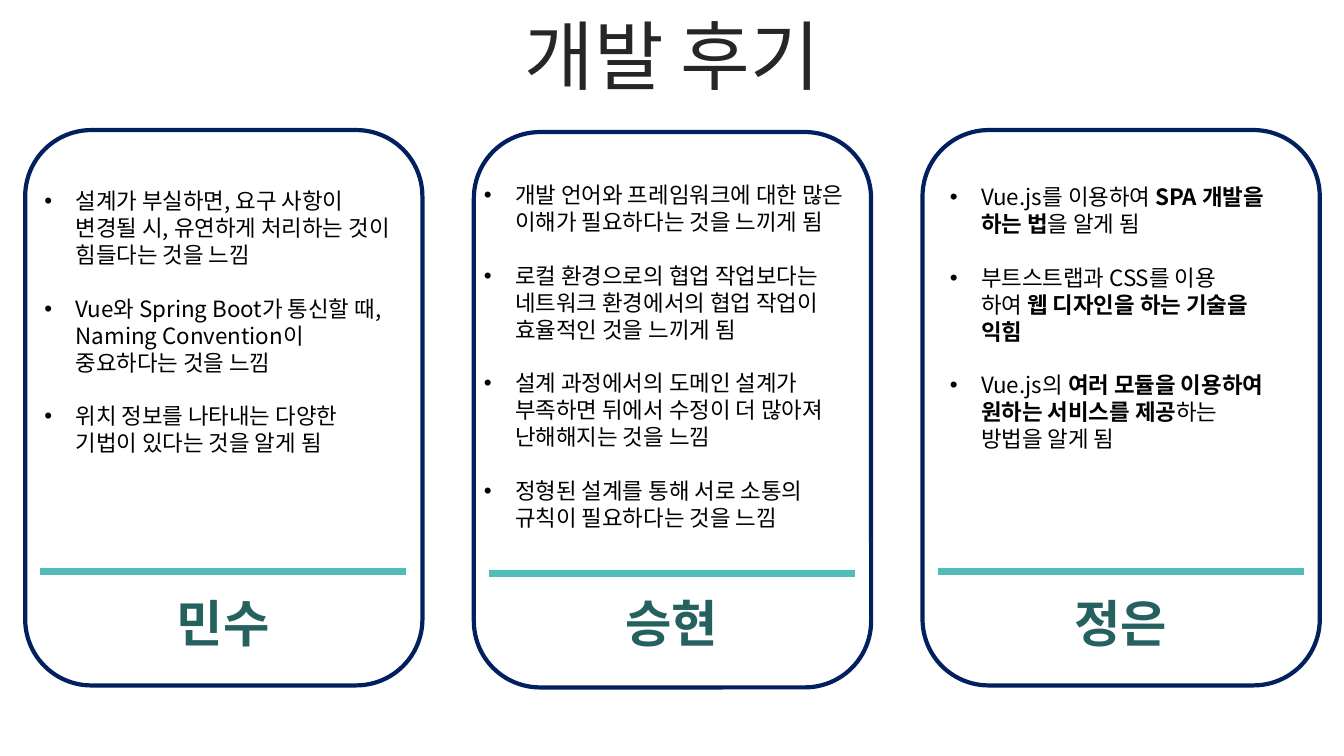
from lxml.etree import SubElement
from pptx import Presentation
from pptx.dml.color import RGBColor
from pptx.enum.shapes import MSO_CONNECTOR, MSO_SHAPE
from pptx.enum.text import MSO_ANCHOR, MSO_AUTO_SIZE, PP_ALIGN
from pptx.oxml.ns import qn
from pptx.util import Inches, Pt


def color(value):
    return RGBColor.from_string(value)


class Deck:
    FONT = "Noto Sans CJK KR"
    INK, TITLE, NAVY, TEAL, NAME = "000000", "262626", "002060", "51BCB9", "25615F"

    def __init__(self):
        self.prs = Presentation()
        self.prs.slide_width = Inches(13.33)
        self.prs.slide_height = Inches(7.5)
        self.s = self.prs.slides.add_slide(self.prs.slide_layouts[4])

    def place(self, sp, x, y, w, h):
        sp.left, sp.top, sp.width, sp.height = (Inches(v) for v in (x, y, w, h))

    def frame(self, sp, anchor):
        tf = sp.text_frame
        tf.word_wrap = True
        tf.auto_size = MSO_AUTO_SIZE.NONE
        tf.vertical_anchor = anchor
        return tf

    def run(self, p, text, size, ink, bold=False):
        for i, line in enumerate(text.split("\n")):
            if i:
                p.add_line_break()
            r = p.add_run()
            r.text = line
            r.font.size = Pt(size)
            r.font.bold = bold
            r.font.color.rgb = color(ink)
            r.font.name = self.FONT
            SubElement(r.font._element, qn("a:ea"), typeface=self.FONT)

    def title(self, text):
        sp = self.s.shapes.title
        self.place(sp, 0.34, 0.2, 12.66, 0.79)
        p = self.frame(sp, MSO_ANCHOR.MIDDLE).paragraphs[0]
        p.alignment = PP_ALIGN.CENTER
        p.line_spacing = 0.9
        self.run(p, text, 54, self.TITLE)

    def card(self, x, y):
        sp = self.s.shapes.add_shape(MSO_SHAPE.ROUNDED_RECTANGLE, Inches(x),
                                     Inches(y), Inches(3.94), Inches(5.51))
        sp.shadow.inherit = False
        sp.fill.background()
        sp.line.color.rgb = color(self.NAVY)
        sp.line.width = Pt(3)

    def rule(self, x, y):
        line = self.s.shapes.add_connector(MSO_CONNECTOR.STRAIGHT, Inches(x),
                                           Inches(y), Inches(x + 3.63), Inches(y))
        line.line.color.rgb = color(self.TEAL)
        line.line.width = Pt(4.5)
        SubElement(line._element.spPr, qn("a:effectLst"))

    def name(self, text, x):
        sp = self.s.shapes.add_textbox(Inches(x), Inches(5.83), Inches(1.51), Inches(0.7))
        p = self.frame(sp, MSO_ANCHOR.TOP).paragraphs[0]
        p.alignment = PP_ALIGN.CENTER
        self.run(p, text, 36, self.NAME, True)

    def bullets(self, idx, box, items):
        sp = self.s.placeholders[idx]
        self.place(sp, *box)
        tf = self.frame(sp, MSO_ANCHOR.TOP)
        for i, item in enumerate(items):
            p = tf.paragraphs[0] if i == 0 else tf.add_paragraph()
            pPr = p._p.get_or_add_pPr()
            pPr.set("marL", str(Inches(0.31)))
            pPr.set("indent", str(-Inches(0.31)))
            SubElement(pPr, qn("a:buFont"), typeface="Arial")
            SubElement(pPr, qn("a:buChar"), char="•")
            p.alignment = PP_ALIGN.LEFT
            p.line_spacing = 1.0
            p.space_before = Pt(19.2 if i else 0)
            p.space_after = Pt(0)
            for text, bold in item:
                self.run(p, text, 16, self.INK, bold)

    def save(self):
        for sp in list(self.s.placeholders):
            if not sp.text_frame.text:
                sp._element.getparent().remove(sp._element)
        self.prs.save("out.pptx")


REVIEWS = [
    ("민수", 0, (0.34, 1.81, 3.73, 3.03), [
        [("설계가 부실하면, 요구 사항이 변경될 시, 유연하게 처리하는 것이 힘들다는 것을 느낌", False)],
        [("Vue와 Spring Boot가 통신할 때, Naming Convention이 중요하다는 것을 느낌", False)],
        [("위치 정보를 나타내는 다양한 기법이 있다는 것을 알게 됨", False)],
    ]),
    ("승현", 0.02, (4.7, 1.75, 3.87, 3.57), [
        [("개발 언어와 프레임워크에 대한 많은 이해가 필요하다는 것을 느끼게 됨", False)],
        [("로컬 환경으로의 협업 작업보다는 네트워크 환경에서의 협업 작업이 효율적인 것을 느끼게 됨", False)],
        [("설계 과정에서의 도메인 설계가 부족하면 뒤에서 수정이 더 많아져 난해해지는 것을 느낌", False)],
        [("정형된 설계를 통해 서로 소통의\n규칙이 필요하다는 것을 느낌", False)],
    ]),
    ("정은", 0, (9.32, 1.77, 3.46, 2.77), [
        [("Vue.js를 이용하여 ", False), ("SPA 개발을 하는 법", True), ("을 알게 됨", False)],
        [("부트스트랩과 CSS를 이용\n하여 ", False), ("웹 디자인을 하는 기술을 익힘", True)],
        [("Vue.js의 ", False), ("여러 모듈을 이용하여 원하는 서비스를 제공", True),
         ("하는 방법을 알게 됨", False)],
    ]),
]


def main():
    deck = Deck()
    deck.title("개발 후기")
    for i, (name, drop, box, items) in enumerate(REVIEWS):
        x = 0.25 + 4.45 * i
        deck.card(x, 1.29 + drop)
        deck.rule(x + 0.15, 5.67 + drop)
        deck.name(name, x + 1.21)
        deck.bullets(i + 1, box, items)
    deck.save()


if __name__ == "__main__":
    main()
